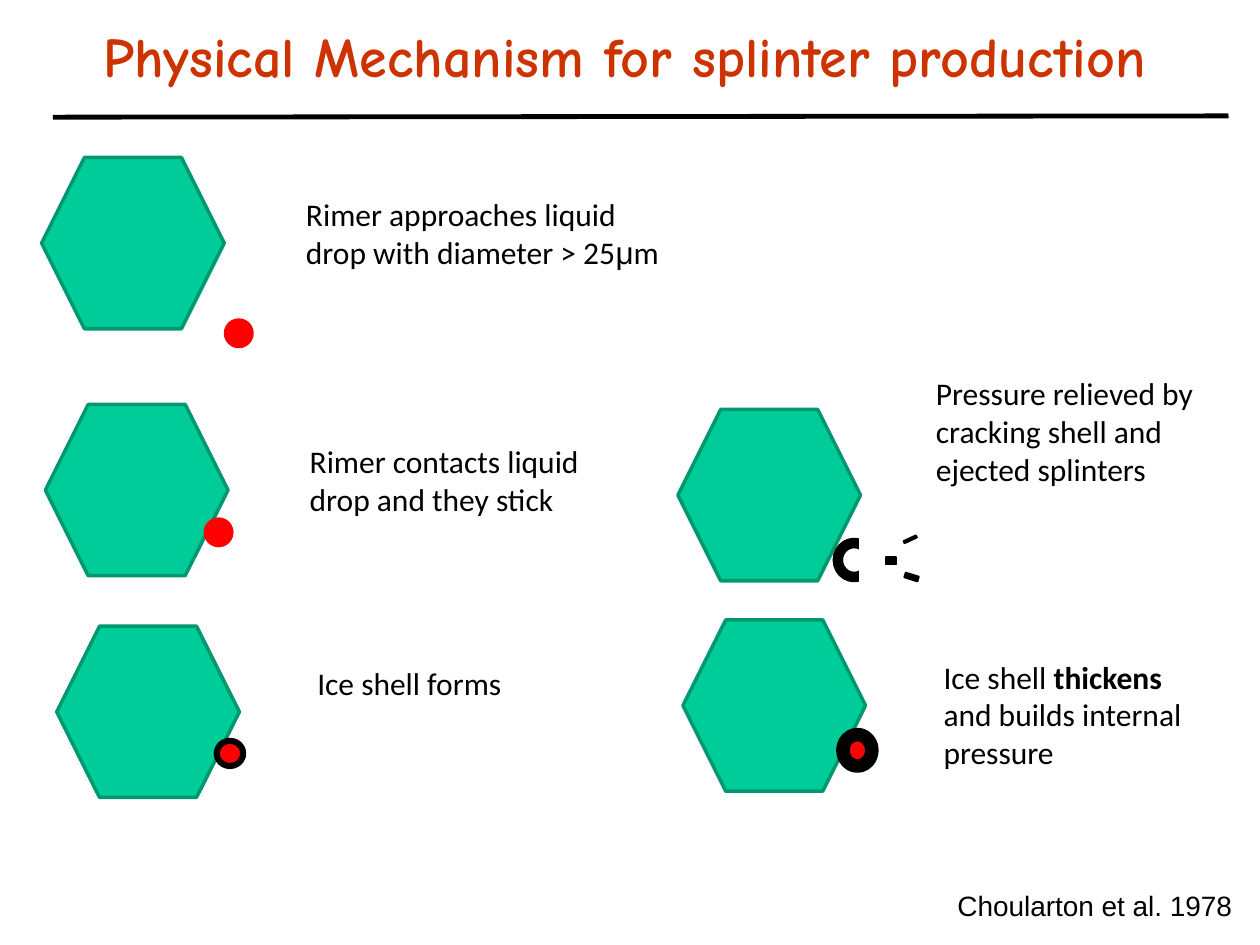
from pptx import Presentation
from pptx.dml.color import RGBColor
from pptx.enum.shapes import MSO_CONNECTOR, MSO_SHAPE
from pptx.enum.text import MSO_ANCHOR, MSO_AUTO_SIZE, PP_ALIGN
from pptx.oxml.ns import qn
from pptx.util import Inches, Pt
from lxml import etree

HEXAGON, OVAL, RECTANGLE = MSO_SHAPE.HEXAGON, MSO_SHAPE.OVAL, MSO_SHAPE.RECTANGLE
STRAIGHT = MSO_CONNECTOR.STRAIGHT
TOP, CENTER = MSO_ANCHOR.TOP, PP_ALIGN.CENTER
FIT_SHAPE = MSO_AUTO_SIZE.SHAPE_TO_FIT_TEXT
BLACK, WHITE, RED = "000000", "FFFFFF", "FF0000"
GREEN, DARK_GREEN, TITLE_RED = "00CC99", "009771", "CC3300"


def color(value):
    return RGBColor.from_string(value)


def add_figure(kind, left, top, width, height, fill, line, line_width, rotation=0):
    shape = slide.shapes.add_shape(
        kind, Inches(left), Inches(top), Inches(width), Inches(height))
    shape.shadow.inherit = False
    shape.rotation = rotation
    if fill:
        shape.fill.solid()
        shape.fill.fore_color.rgb = color(fill)
    else:
        shape.fill.background()
    shape.line.color.rgb = color(line)
    shape.line.width = Pt(line_width)


presentation = Presentation()
presentation.slide_width, presentation.slide_height = Inches(10), Inches(7.5)
slide = presentation.slides.add_slide(presentation.slide_layouts[5])

title = slide.shapes.title
title.left, title.top = Inches(0.17), Inches(0.12)
title.width, title.height = Inches(9.58), Inches(0.64)
title.text_frame.text = "Physical Mechanism for splinter production"
title.text_frame.vertical_anchor = TOP
title.text_frame.word_wrap = True
paragraph = title.text_frame.paragraphs[0]
paragraph.alignment = CENTER
font = paragraph.runs[0].font
font.name, font.size, font.bold = "Comic Neue", Pt(32), True
font.color.rgb = color(TITLE_RED)

rule = slide.shapes.add_connector(
    STRAIGHT, Inches(0.42), Inches(0.93), Inches(9.75), Inches(0.92))
rule.line.color.rgb = color(BLACK)
rule.line.width = Pt(2.75)
etree.SubElement(rule._element.spPr, qn("a:effectLst"))

rimers = [(0.33, 1.25), (0.36, 3.21), (0.45, 4.97), (5.42, 4.92), (5.38, 3.25)]
for left, top in rimers:
    add_figure(HEXAGON, left, top, 1.45, 1.36, GREEN, DARK_GREEN, 2)

drops = [
    (1.79, 2.54, 0.21, 0.21, RED, RED, 2),
    (1.63, 4.12, 0.21, 0.21, RED, RED, 2),
    (1.72, 5.88, 0.21, 0.2, RED, BLACK, 3.5),
    (6.69, 5.83, 0.23, 0.25, RED, BLACK, 7.75),
    (6.65, 4.31, 0.26, 0.27, None, BLACK, 6),
]
for drop in drops:
    add_figure(OVAL, *drop)

splinters = [
    (7.03, 4.42, 0.08, 0.06, 0),
    (7.18, 4.56, 0.11, 0.04, 17.2),
    (7.17, 4.27, 0.11, 0.02, 335),
]
for left, top, width, height, rotation in splinters:
    add_figure(RECTANGLE, left, top, width, height, BLACK, BLACK, 1, rotation)

add_figure(RECTANGLE, 6.83, 4.25, 0.17, 0.42, WHITE, WHITE, 2)

captions = [
    (2.33, 1.5, 3.08, 0.71, 18, True,
     [[("Rimer approaches liquid drop with diameter > 25", "Calibri", False),
       ("μ", "Arial", False), ("m", "Calibri", False)]]),
    (2.36, 3.46, 2.8, 0.71, 18, True,
     [[("Rimer contacts liquid drop and they stick", "Calibri", False)]]),
    (2.42, 5.22, 2, 0.4, 18, True, [[("Ice shell forms", "Calibri", False)]]),
    (7.39, 5.17, 2.2, 1.01, 18, True,
     [[("Ice shell ", "Calibri", False), ("thickens", "Calibri", True)],
      [("and builds internal pressure", "Calibri", False)]]),
    (7.33, 2.92, 2.33, 1.01, 18, True,
     [[("Pressure relieved by cracking shell and ejected splinters", "Calibri", False)]]),
    (7.5, 7, 2.41, 0.37, 16, False, [[("Choularton et al. 1978", "Arial", False)]]),
]
for left, top, width, height, size, wrap, lines in captions:
    caption = slide.shapes.add_textbox(
        Inches(left), Inches(top), Inches(width), Inches(height))
    text_frame = caption.text_frame
    text_frame.word_wrap = wrap
    text_frame.auto_size = FIT_SHAPE
    for index, line in enumerate(lines):
        paragraph = text_frame.add_paragraph() if index else text_frame.paragraphs[0]
        for text, font_name, bold in line:
            run = paragraph.add_run()
            run.text = text
            run.font.name, run.font.size, run.font.bold = font_name, Pt(size), bold
            run.font.color.rgb = color(BLACK)

presentation.save("out.pptx")
